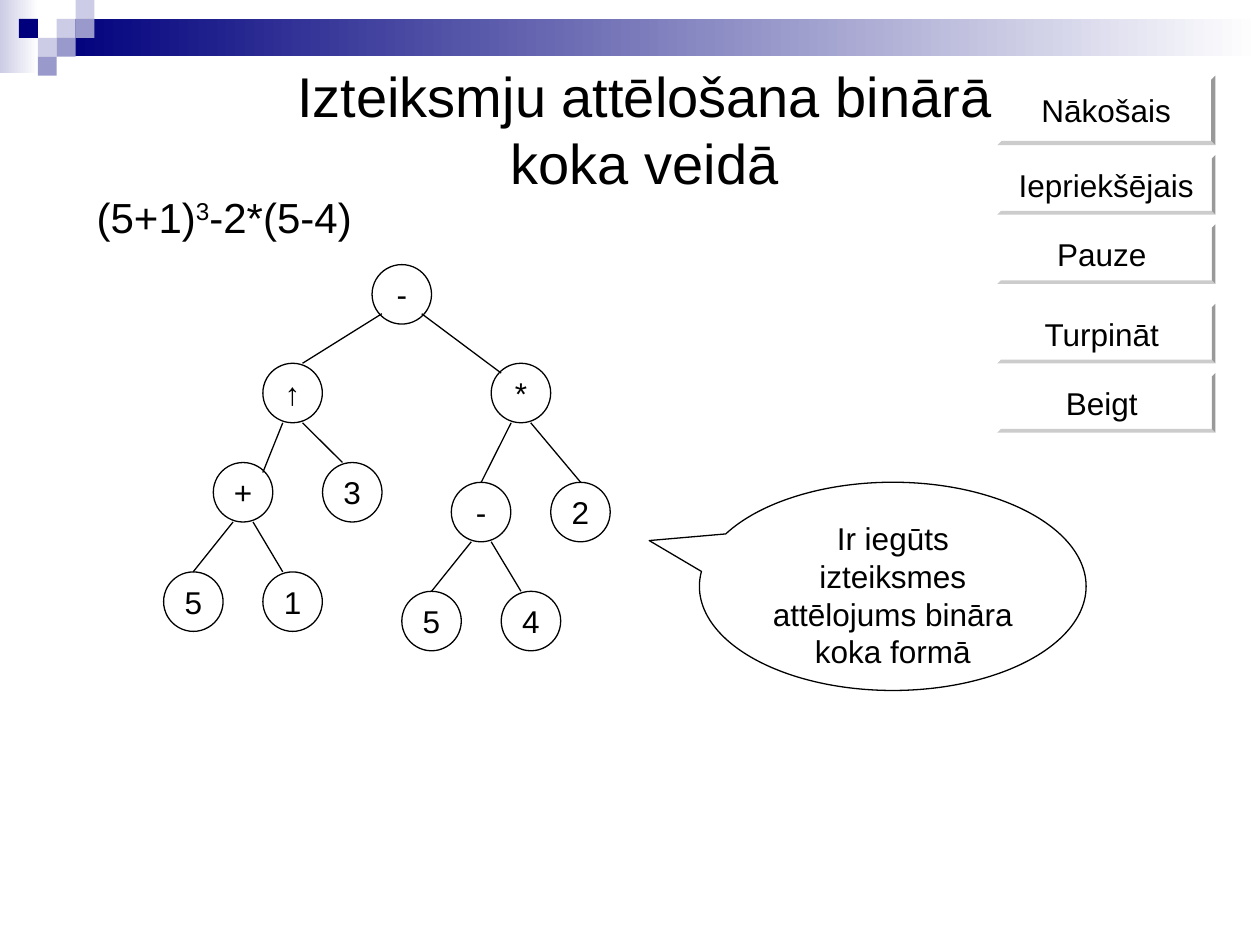
from lxml import etree
from pptx import Presentation
from pptx import util as u
from pptx.dml.color import RGBColor
from pptx.enum import shapes, text
from pptx.oxml.ns import qn

Pt = u.Pt
G = shapes.MSO_SHAPE
TOP, MIDDLE = text.MSO_ANCHOR.TOP, text.MSO_ANCHOR.MIDDLE
BLACK, WHITE, NAVY, LILAC, VIOLET = "000000", "FFFFFF", "00007D", "CCCCE6", "9999CC"


def rgb(value):
    return RGBColor.from_string(value)


def add_box(kind, box, fill=None, line=None, runs=(), size=18,
            align=text.PP_ALIGN.CENTER, anchor=MIDDLE, wrap=False):
    """Add a shape (or a text box if kind is None); a pair of fills is a left-right gradient."""
    box = [Pt(v) for v in box]
    if kind is None:
        sp = s.shapes.add_textbox(*box)
    else:
        sp = s.shapes.add_shape(kind, *box)
        sp.shadow.inherit = False
        if isinstance(fill, tuple):
            sp.fill.gradient()
            sp.fill.gradient_angle = 0
            for stop, color in zip(sp.fill.gradient_stops, fill):
                stop.color.rgb = rgb(color)
        else:
            sp.fill.solid()
            sp.fill.fore_color.rgb = rgb(fill)
        if line:
            sp.line.color.rgb = rgb(line)
            sp.line.width = Pt(0.75)
        else:
            sp.line.fill.background()
    if runs:
        tf = sp.text_frame
        tf.word_wrap, tf.vertical_anchor = wrap, anchor
        p = tf.paragraphs[0]
        p.alignment = align
        for words in runs:
            r = p.add_run()
            r.text = words
            for name, value in {"name": "Arial", "size": Pt(size)}.items():
                setattr(r.font, name, value)
            r.font.color.rgb = rgb(BLACK)
    return sp


prs = Presentation()
prs.slide_width, prs.slide_height = Pt(720), Pt(540)
s = prs.slides.add_slide(prs.slide_layouts[6])

# Header band and its mosaic of squares
add_box(G.RECTANGLE, (0, 0, 22, 42), (LILAC, WHITE))
add_box(G.RECTANGLE, (32.4, 10.8, 687.6, 21.4), (NAVY, WHITE))
cell = 10.8
for col, row, color in [(3, 1, LILAC), (4, 0, LILAC), (4, 1, VIOLET), (2, 2, LILAC),
                        (1, 1, NAVY), (3, 2, VIOLET), (2, 3, VIOLET)]:
    add_box(G.RECTANGLE, (col * cell, row * cell, cell, cell), color)

# Navigation buttons
for label, top, height in [("Nākošais", 43.2, 39.7), ("Iepriekšējais", 88.6, 34),
                           ("Pauze ", 128.2, 34), ("Turpināt ", 173.6, 34),
                           ("Beigt ", 213.2, 34)]:
    button = add_box(G.BEVEL, (569.8, top, 124.7, height), WHITE, runs=[label])
    button.adjustments[0] = 0.06

callout = add_box(G.OVAL_CALLOUT, (399.7, 275.6, 221, 119), WHITE, BLACK,
                  ["Ir iegūts izteiksmes attēlojums bināra koka formā"],
                  anchor=TOP, wrap=True)
callout.adjustments[0], callout.adjustments[1] = -0.63, -0.22

formula = add_box(None, (48.2, 105.8, 396.8, 36), runs=["(5+1)", "3", "-2*(5-4)"], size=24,
                  align=text.PP_ALIGN.LEFT, anchor=TOP, wrap=True)
formula.text_frame.paragraphs[0].runs[1].font._element.set("baseline", "30000")

# Expression tree
diameter = 34
for label, x, y in [("-", 212.6, 151.2),
                    ("↑", 150.2, 207.6), ("*", 280.7, 207.6),
                    ("+", 121.9, 264.3), ("3", 184.3, 264.3),
                    ("-", 257.9, 275.6), ("2", 314.7, 275.6),
                    ("5", 93.5, 326.8), ("1", 150.2, 326.8),
                    ("5", 229.6, 337.9), ("4", 286.4, 337.9)]:
    add_box(G.OVAL, (x, y, diameter, diameter), WHITE, BLACK, [label])

for ends in [(172.9, 207.6, 218.2, 179.3), (286.4, 213.2, 241, 179.3),
             (150.2, 270, 161.6, 241.6), (195.7, 264.3, 172.9, 241.6),
             (275, 275.6, 292.1, 241.6), (331.8, 275.6, 303.3, 241.6),
             (110.4, 326.8, 133.2, 298.3), (161.6, 326.8, 144.6, 298.3),
             (246.6, 337.9, 269.3, 309.6), (297.7, 337.9, 280.7, 309.6)]:
    branch = s.shapes.add_connector(shapes.MSO_CONNECTOR.STRAIGHT, *[Pt(v) for v in ends])
    branch.line.color.rgb = rgb(BLACK)
    branch.line.width = Pt(0.75)
    etree.SubElement(branch._element.spPr, qn("a:effectLst"))

add_box(None, (127.6, 31.7, 481.9, 84.2), runs=["Izteiksmju attēlošana binārā koka veidā"],
        size=32, anchor=TOP, wrap=True)

prs.save("out.pptx")
